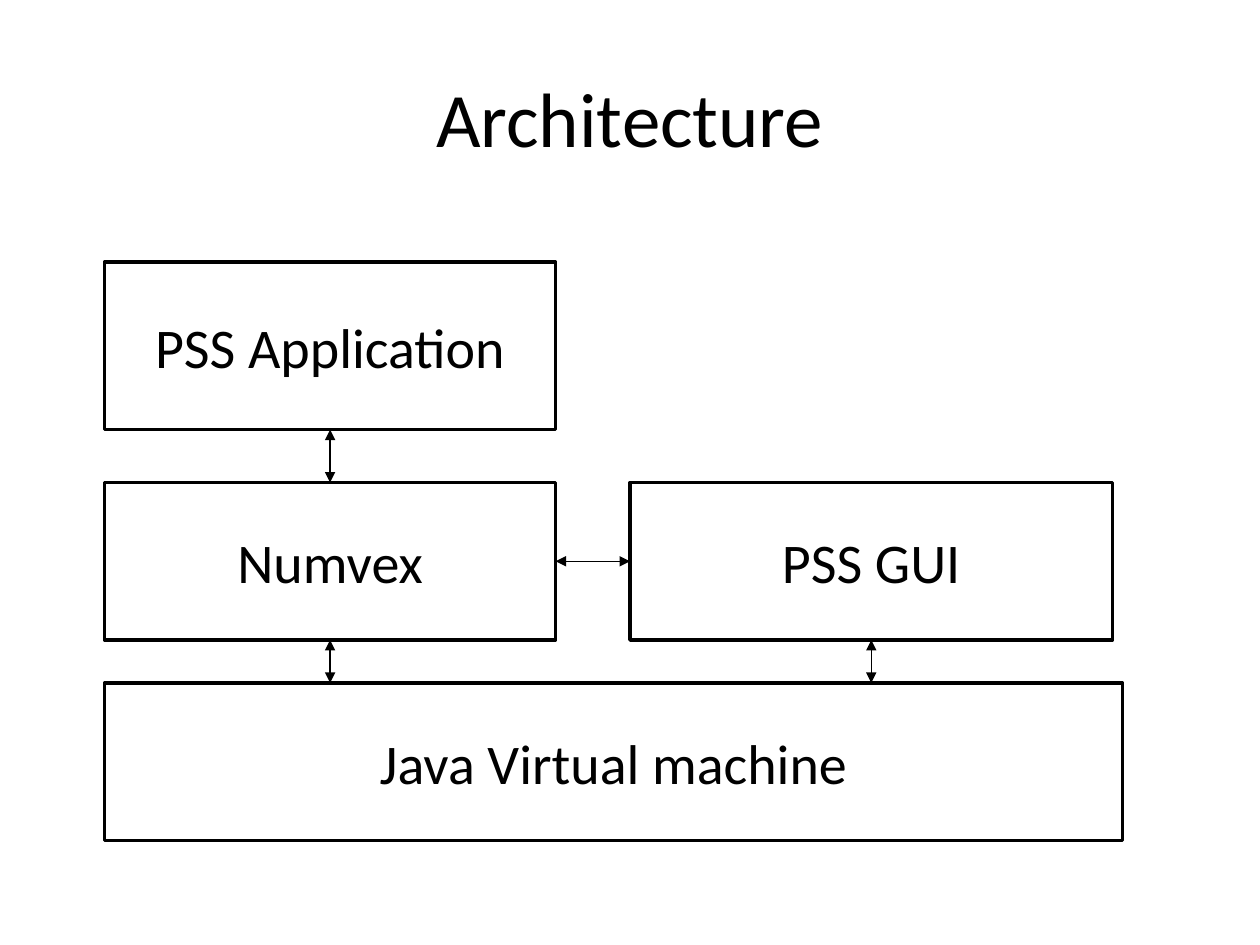
from pptx import Presentation, util as u
from pptx.dml.color import RGBColor
from pptx.enum import shapes, text
from pptx.oxml.ns import qn
from lxml import etree

TITLE = "Architecture"
INK, PAPER = "000000", "FFFFFF"
TOP, BOTTOM, LEFT, RIGHT = 0, 2, 1, 3  # connection sites; 1 and 3 are the sides

# Columns (left, width) and rows (top, height) of the grid, in inches
COLS = {"left": (0.83, 3.58), "right": (5, 3.83), "full": (0.83, 8.08)}
ROWS = {"app": (2.08, 1.33), "middle": (3.83, 1.25), "base": (5.42, 1.25)}

# Label, column, row
BOXES = [
    ("Java Virtual machine", "full", "base"),
    ("Numvex", "left", "middle"),
    ("PSS GUI", "right", "middle"),
    ("PSS Application", "left", "app"),
]
# From box and side, to box and side (None: straight down to the box's top edge)
LINKS = [
    ("PSS Application", BOTTOM, "Numvex", TOP),
    ("Numvex", RIGHT, "PSS GUI", LEFT),
    ("Numvex", BOTTOM, "Java Virtual machine", None),
    ("PSS GUI", BOTTOM, "Java Virtual machine", None),
]


def color(value):
    return RGBColor.from_string(value)


def write(tf, words, size, before=0):
    tf.word_wrap = True
    tf.vertical_anchor = text.MSO_ANCHOR.MIDDLE
    p = tf.paragraphs[0]
    p.alignment = text.PP_ALIGN.CENTER
    p.space_before = u.Pt(before)
    r = p.add_run()
    r.text = words
    for name, value in {"name": "Calibri", "size": u.Pt(size)}.items():
        setattr(r.font, name, value)
    r.font.color.rgb = color(INK)


def add_box(s, label, col, row):
    (x, w), (y, h) = COLS[col], ROWS[row]
    sp = s.shapes.add_shape(shapes.MSO_SHAPE.RECTANGLE,
                            *map(u.Inches, (x, y, w, h)))
    sp.shadow.inherit = False
    sp.fill.solid()
    sp.fill.fore_color.rgb = color(PAPER)
    sp.line.color.rgb = color(INK)
    sp.line.width = u.Pt(2)
    write(sp.text_frame, label, 32, before=8)
    return sp


def add_link(s, start, start_side, end, end_side):
    x = start.left + start.width // 2
    cx = s.shapes.add_connector(shapes.MSO_CONNECTOR.STRAIGHT,
                                x, start.top + start.height, x, end.top)
    cx.begin_connect(start, start_side)
    if end_side is not None:
        cx.end_connect(end, end_side)
    cx.line.color.rgb = color(INK)
    cx.line.width = u.Pt(0.75)
    # Arrowheads at both ends, no shadow
    ln = cx.line._get_or_add_ln()
    for tag in ("a:headEnd", "a:tailEnd"):
        etree.SubElement(ln, qn(tag), type="triangle")
    etree.SubElement(cx._element.spPr, qn("a:effectLst"))


def main():
    prs = Presentation()
    prs.slide_width, prs.slide_height = u.Inches(10), u.Inches(7.5)
    s = prs.slides.add_slide(prs.slide_layouts[5])

    # Title
    title = s.shapes.title
    place = {"left": 0.5, "top": 0.3, "width": 9, "height": 1.25}
    for name, value in place.items():
        setattr(title, name, u.Inches(value))
    write(title.text_frame, TITLE, 44)

    # Components and the links between them
    boxes = {label: add_box(s, label, col, row) for label, col, row in BOXES}
    for start, start_side, end, end_side in LINKS:
        add_link(s, boxes[start], start_side, boxes[end], end_side)

    prs.save("out.pptx")


if __name__ == "__main__":
    main()
